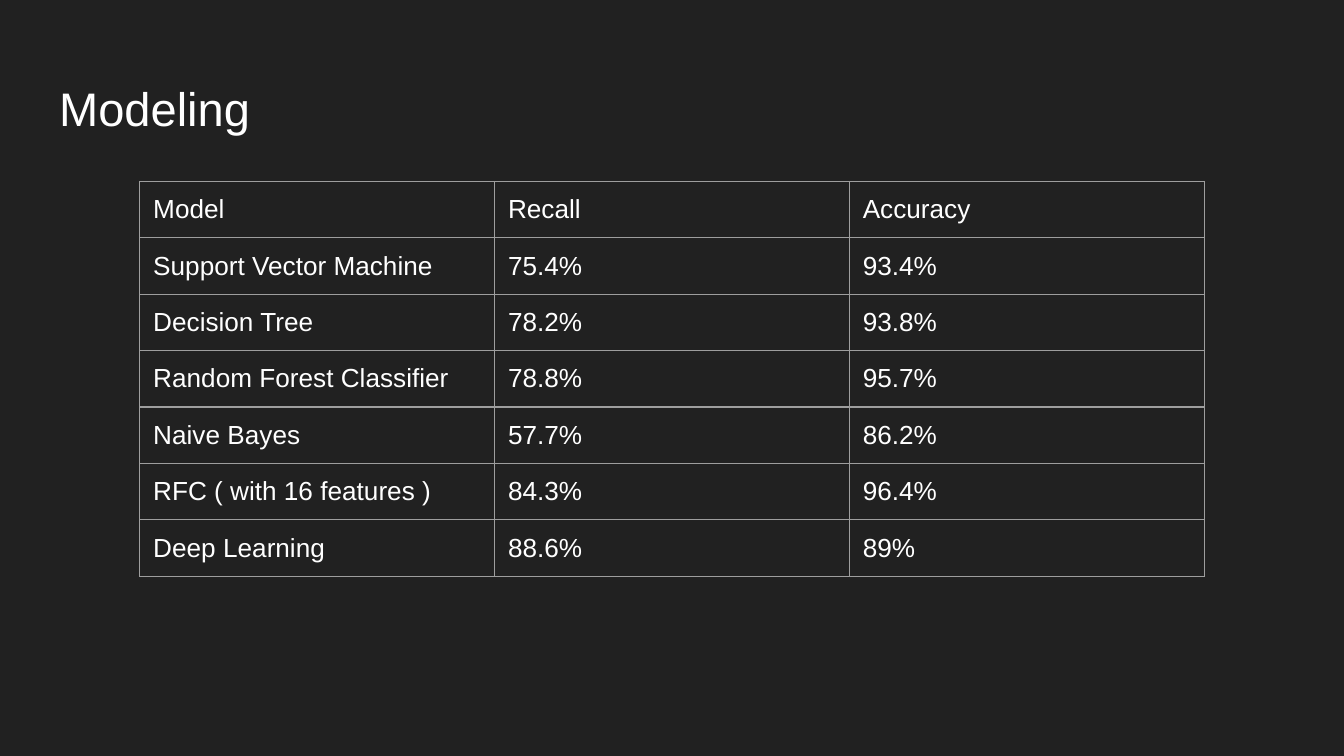
from typing import NamedTuple

from lxml import etree
from pptx import Presentation
from pptx.dml.color import RGBColor
from pptx.enum.text import MSO_ANCHOR, PP_ALIGN
from pptx.oxml.ns import qn
from pptx.util import Inches, Pt

BACKGROUND = RGBColor(0x21, 0x21, 0x21)
WHITE = RGBColor(0xFF, 0xFF, 0xFF)
BORDER = RGBColor(0x9E, 0x9E, 0x9E)
LEFT = PP_ALIGN.LEFT
TOP = MSO_ANCHOR.TOP
MIDDLE = MSO_ANCHOR.MIDDLE
FONT = "Arial"
INSET = Inches(0.1)
SLIDE_WIDTH = Inches(10)
SLIDE_HEIGHT = SLIDE_WIDTH * 9 // 16
COLUMN_WIDTH = 2.64
ROW_HEIGHT = 0.42
TITLE_ONLY = 5


class Result(NamedTuple):
    model: str
    recall: str
    accuracy: str


RESULTS = [
    Result("Model", "Recall", "Accuracy"),
    Result("Support Vector Machine", "75.4%", "93.4%"),
    Result("Decision Tree", "78.2%", "93.8%"),
    Result("Random Forest Classifier", "78.8%", "95.7%"),
    Result("Naive Bayes", "57.7%", "86.2%"),
    Result("RFC ( with 16 features )", "84.3%", "96.4%"),
    Result("Deep Learning", "88.6%", "89%"),
]


def set_text(frame, text: str, size: float) -> None:
    frame.text = text
    paragraph = frame.paragraphs[0]
    paragraph.alignment = LEFT
    font = paragraph.runs[0].font
    font.name = FONT
    font.size = Pt(size)
    font.bold = False
    font.color.rgb = WHITE


def add_borders(cell) -> None:
    properties = cell._tc.get_or_add_tcPr()
    for side in ("a:lnL", "a:lnR", "a:lnT", "a:lnB"):
        line = etree.SubElement(properties, qn(side), w=str(Pt(0.75)))
        fill = etree.SubElement(line, qn("a:solidFill"))
        etree.SubElement(fill, qn("a:srgbClr"), val=str(BORDER))


def format_cell(cell, text: str) -> None:
    set_text(cell.text_frame, text, 14)
    cell.margin_left = cell.margin_right = INSET
    cell.margin_top = cell.margin_bottom = INSET
    cell.vertical_anchor = TOP
    add_borders(cell)
    cell.fill.background()


def add_title(slide, text: str) -> None:
    title = slide.shapes.title
    title.left, title.top = Inches(0.34), Inches(0.49)
    title.width, title.height = Inches(9.32), Inches(0.63)
    frame = title.text_frame
    frame.margin_left = frame.margin_right = INSET
    frame.margin_top = frame.margin_bottom = INSET
    frame.vertical_anchor = MIDDLE
    set_text(frame, text, 25.2)


def add_results(slide, results: list[Result]) -> None:
    column_count = len(Result._fields)
    table = slide.shapes.add_table(
        len(results), column_count, Inches(1.04), Inches(1.35),
        Inches(COLUMN_WIDTH * column_count), Inches(ROW_HEIGHT * len(results)),
    ).table
    table.first_row = False
    table.horz_banding = False
    for column in table.columns:
        column.width = Inches(COLUMN_WIDTH)
    for row, result in zip(table.rows, results):
        row.height = Inches(ROW_HEIGHT)
        for cell, text in zip(row.cells, result):
            format_cell(cell, text)


def main() -> None:
    presentation = Presentation()
    presentation.slide_width = SLIDE_WIDTH
    presentation.slide_height = SLIDE_HEIGHT
    slide = presentation.slides.add_slide(presentation.slide_layouts[TITLE_ONLY])
    slide.background.fill.solid()
    slide.background.fill.fore_color.rgb = BACKGROUND
    add_title(slide, "Modeling")
    add_results(slide, RESULTS)
    presentation.save("out.pptx")


if __name__ == "__main__":
    main()
